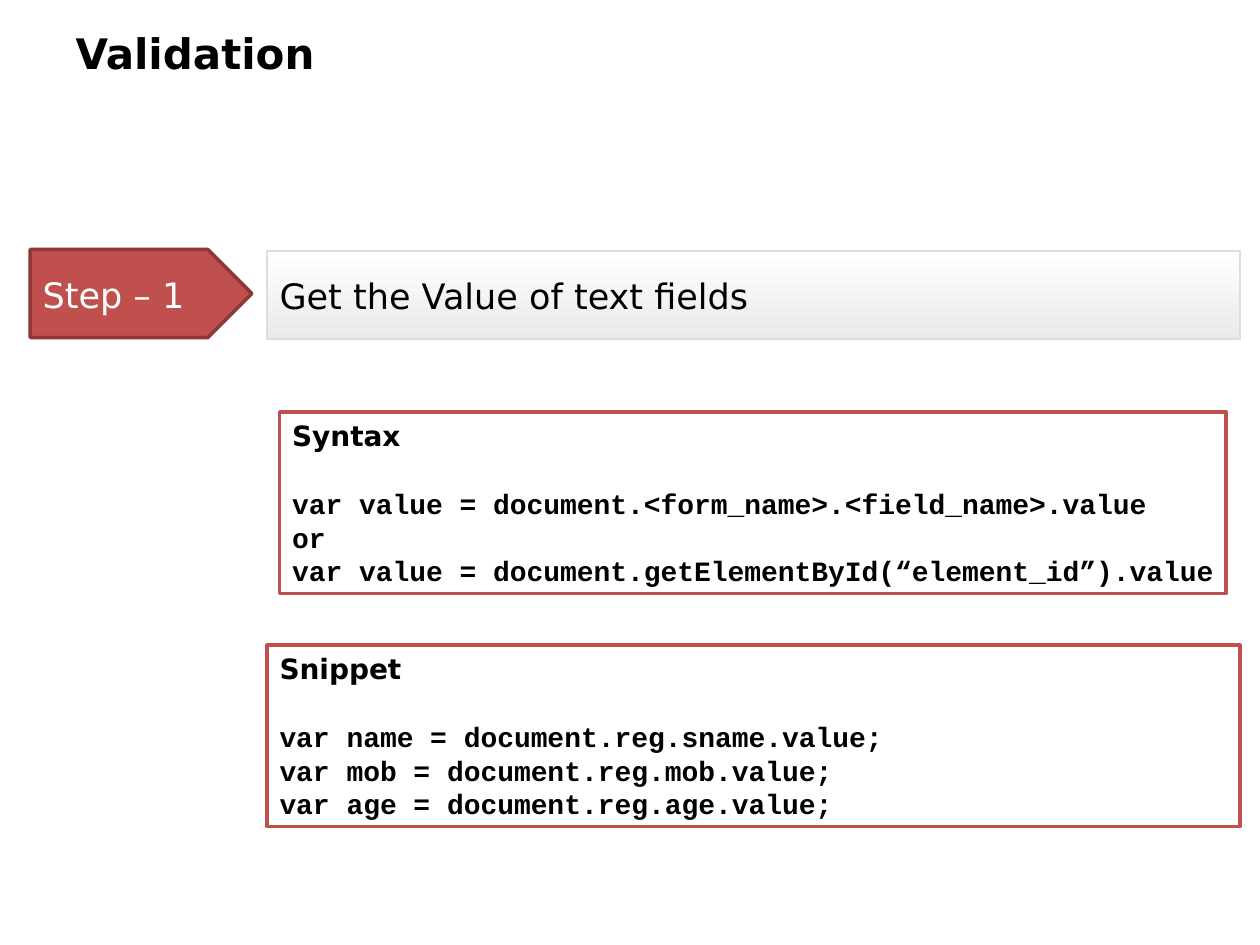
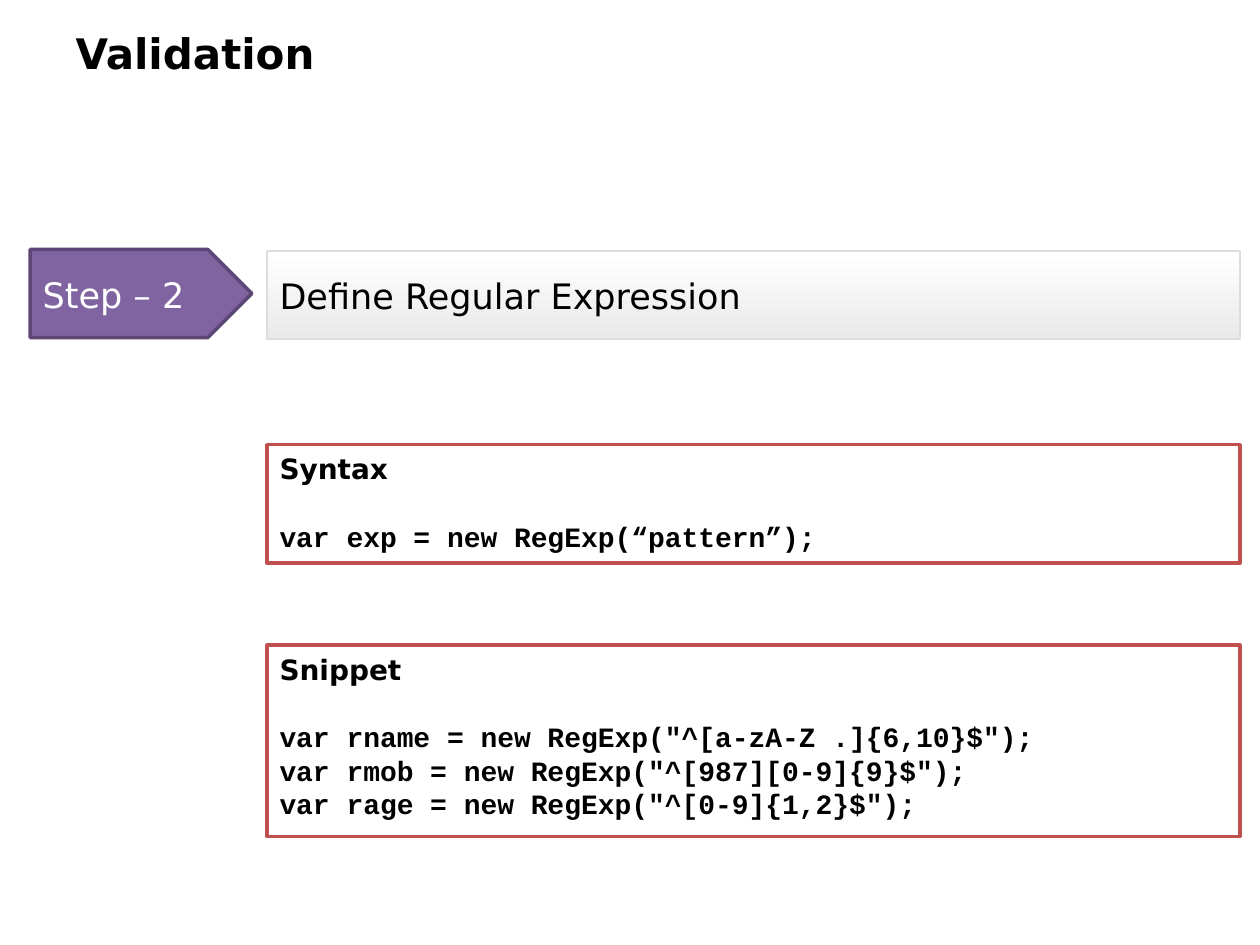
from dataclasses import dataclass

from pptx import Presentation
from pptx.dml.color import RGBColor
from pptx.enum.shapes import MSO_SHAPE
from pptx.enum.text import MSO_ANCHOR, MSO_AUTO_SIZE, PP_ALIGN
from pptx.util import Inches, Pt


@dataclass(frozen=True)
class Theme:
    black: str = "000000"
    white: str = "FFFFFF"
    red: str = "C0504D"
    dark_red: str = "8C3836"
    purple: str = "8064A2"
    dark_purple: str = "5C4776"
    band_end: str = "EAEAEA"
    band_line: str = "DDDDDD"
    text_font: str = "DejaVu Sans"
    code_font: str = "Courier New"
    title_size: float = 24
    step_size: float = 20
    step_pitch: float = 25
    step_space_after: float = 5
    code_size: float = 16
    heading_pitch: float = 19.6
    code_pitch: float = 19.1


THEME = Theme()
TITLE_BOX = (0.5, 0.21, 9, 0.42)
STEP_BOX = (0.24, 1.98, 9.6, 0.7)
ARROW_WIDTH = 1.76
PANEL_LEFT = 2.12
PANEL_WIDTH = 7.72
SNIPPET_TOP = 5.12

STEPS = [
    {
        "label": "Step – 1",
        "summary": "Get the Value of text fields",
        "colors": (THEME.red, THEME.dark_red),
        "panels": [
            ("Syntax", (2.22, 3.27, 7.51, 1.44), [
                "var value = document.<form_name>.<field_name>.value",
                "or",
                "var value = document.getElementById(“element_id”).value",
            ]),
            ("Snippet", (PANEL_LEFT, SNIPPET_TOP, PANEL_WIDTH, 1.44), [
                "var name = document.reg.sname.value;",
                "var mob = document.reg.mob.value;",
                "var age = document.reg.age.value;",
            ]),
        ],
    },
    {
        "label": "Step – 2",
        "summary": "Define Regular Expression",
        "colors": (THEME.purple, THEME.dark_purple),
        "panels": [
            ("Syntax", (PANEL_LEFT, 3.53, PANEL_WIDTH, 0.94), [
                "var exp = new RegExp(“pattern”);",
            ]),
            ("Snippet", (PANEL_LEFT, SNIPPET_TOP, PANEL_WIDTH, 1.52), [
                'var rname = new RegExp("^[a-zA-Z .]{6,10}$");',
                'var rmob = new RegExp("^[987][0-9]{9}$");',
                'var rage = new RegExp("^[0-9]{1,2}$");',
            ]),
        ],
    },
]


def color(value):
    return RGBColor.from_string(value)


def set_font(paragraph, name, size, value, bold=False):
    font = paragraph.font
    font.name = name
    font.size = Pt(size)
    font.bold = bold
    font.color.rgb = color(value)


def set_frame(text_frame, anchor, left, top, right, bottom):
    text_frame.word_wrap = True
    text_frame.auto_size = MSO_AUTO_SIZE.NONE
    text_frame.vertical_anchor = anchor
    text_frame.margin_left = Inches(left)
    text_frame.margin_top = Inches(top)
    text_frame.margin_right = Inches(right)
    text_frame.margin_bottom = Inches(bottom)


def add_block(slide, kind, box, fill, line, line_width):
    shape = slide.shapes.add_shape(kind, *map(Inches, box))
    shape.shadow.inherit = False
    shape.fill.solid()
    shape.fill.fore_color.rgb = color(fill)
    shape.line.color.rgb = color(line)
    shape.line.width = Pt(line_width)
    return shape


def set_title(slide, text, box):
    title = slide.shapes.title
    title.left, title.top, title.width, title.height = map(Inches, box)
    set_frame(title.text_frame, MSO_ANCHOR.MIDDLE, 0.1, 0, 0.1, 0)
    paragraph = title.text_frame.paragraphs[0]
    paragraph.text = text
    paragraph.alignment = PP_ALIGN.LEFT
    set_font(paragraph, THEME.text_font, THEME.title_size, THEME.black, True)


def write_step_text(shape, text, value):
    set_frame(shape.text_frame, MSO_ANCHOR.MIDDLE, 0.1, 0.1, 0.1, 0.1)
    paragraph = shape.text_frame.paragraphs[0]
    paragraph.text = text
    paragraph.alignment = PP_ALIGN.JUSTIFY
    paragraph.line_spacing = Pt(THEME.step_pitch)
    paragraph.space_after = Pt(THEME.step_space_after)
    set_font(paragraph, THEME.text_font, THEME.step_size, value)


def add_step_row(slide, box, label, summary, colors):
    left, top, width, height = box
    band_offset = PANEL_LEFT - left
    band = add_block(
        slide, MSO_SHAPE.RECTANGLE,
        (PANEL_LEFT, top + 0.01, width - band_offset, height),
        THEME.white, THEME.band_line, 1,
    )
    band.fill.gradient()
    band.fill.gradient_angle = 270
    for stop, value in zip(band.fill.gradient_stops, (THEME.white, THEME.band_end)):
        stop.color.rgb = color(value)
    write_step_text(band, summary, THEME.black)

    arrow = add_block(
        slide, MSO_SHAPE.PENTAGON, (left, top, ARROW_WIDTH, height), *colors, 2
    )
    write_step_text(arrow, label, THEME.white)


def add_code_panel(slide, box, heading, lines):
    panel = add_block(slide, MSO_SHAPE.RECTANGLE, box, THEME.white, THEME.red, 2)
    text_frame = panel.text_frame
    set_frame(text_frame, MSO_ANCHOR.TOP, 0.1, 0.05, 0, 0.05)
    paragraph = text_frame.paragraphs[0]
    paragraph.text = heading
    paragraph.alignment = PP_ALIGN.LEFT
    paragraph.line_spacing = Pt(THEME.heading_pitch)
    paragraph.space_after = Pt(THEME.heading_pitch)
    set_font(paragraph, THEME.text_font, THEME.code_size, THEME.black, True)
    for line in lines:
        paragraph = text_frame.add_paragraph()
        paragraph.text = line
        paragraph.alignment = PP_ALIGN.LEFT
        paragraph.line_spacing = Pt(THEME.code_pitch)
        set_font(paragraph, THEME.code_font, THEME.code_size, THEME.black, True)


def add_step_slide(presentation, step):
    slide = presentation.slides.add_slide(presentation.slide_layouts[5])
    set_title(slide, "Validation", TITLE_BOX)
    add_step_row(slide, STEP_BOX, step["label"], step["summary"], step["colors"])
    for heading, box, lines in step["panels"]:
        add_code_panel(slide, box, heading, lines)


def main():
    presentation = Presentation()
    presentation.slide_width = Inches(10)
    presentation.slide_height = Inches(7.5)
    for step in STEPS:
        add_step_slide(presentation, step)
    presentation.save("out.pptx")


if __name__ == "__main__":
    main()
